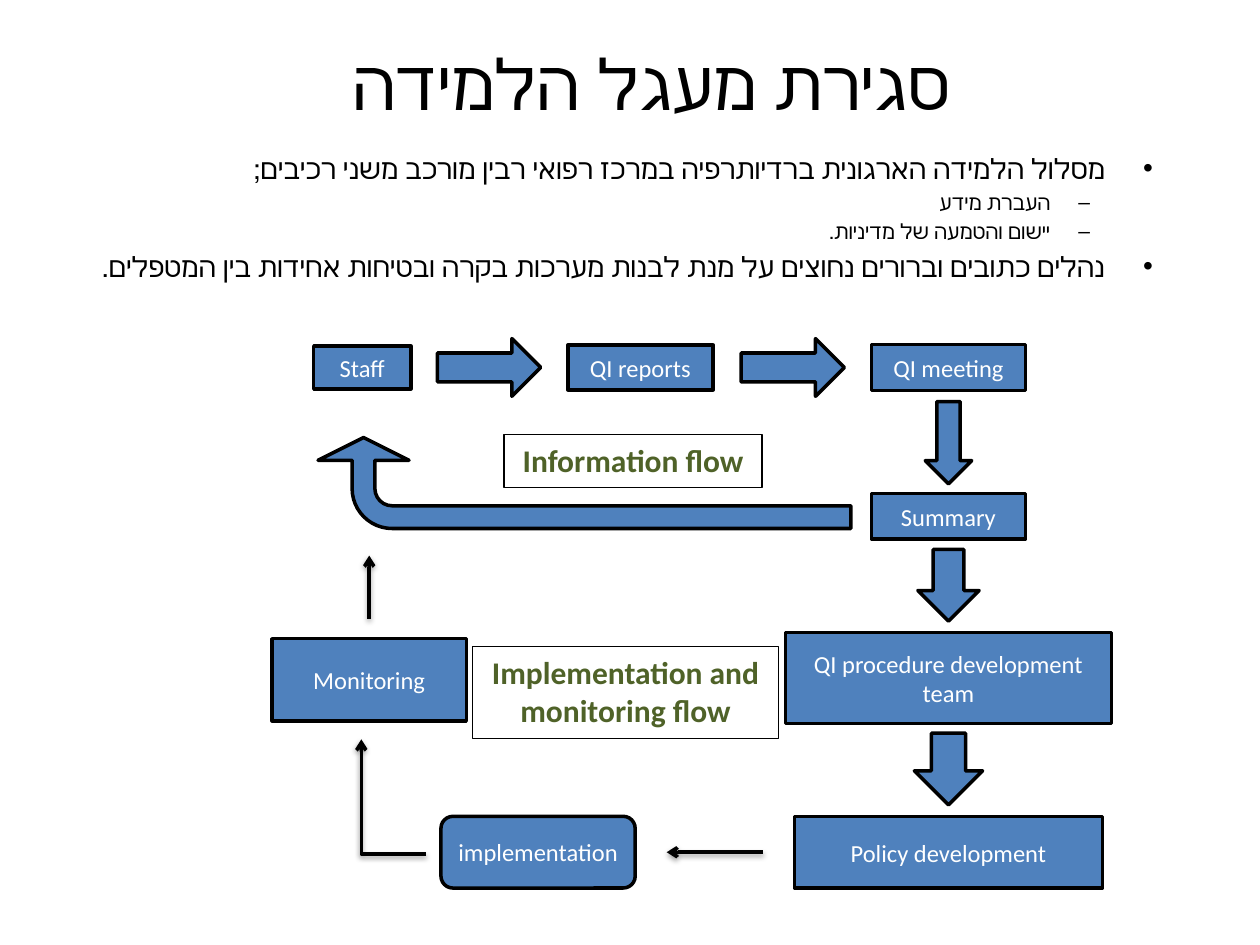
"""Build the slide on closing the learning loop with its two-part flow diagram."""
from dataclasses import dataclass

from lxml.etree import SubElement
from pptx import Presentation
from pptx.dml.color import RGBColor
from pptx.enum.shapes import MSO_CONNECTOR, MSO_SHAPE
from pptx.enum.text import MSO_ANCHOR, MSO_AUTO_SIZE, PP_ALIGN
from pptx.oxml.ns import qn
from pptx.util import Pt

COLORS = {"black": "000000", "white": "FFFFFF", "blue": "4F81BD", "green": "4F6228"}
FONT = "Calibri"
TOP_ROW, BOTTOM_ROW = 210, 487
LEFT_COLUMN, RIGHT_COLUMN = 211, 542
PROCESS, RIGHT, DOWN = MSO_SHAPE.FLOWCHART_PROCESS, MSO_SHAPE.RIGHT_ARROW, MSO_SHAPE.DOWN_ARROW


@dataclass(frozen=True)
class Node:
    """A filled shape placed by its centre."""
    kind: MSO_SHAPE
    x: float
    y: float
    width: float
    height: float
    text: str = ""
    rotation: float = 0
    adjustments: tuple[float, ...] = ()


@dataclass(frozen=True)
class Arrow:
    """A thin line with an open head, straight or with one corner."""
    start: tuple[float, float]
    end: tuple[float, float]
    bent: bool = False


@dataclass(frozen=True)
class Caption:
    """A framed heading of one part of the flow."""
    left: float
    top: float
    width: float
    height: float
    text: str


@dataclass(frozen=True)
class Bullet:
    """A right-to-left list entry."""
    text: str
    level: int
    size: float


TITLE = "סגירת מעגל הלמידה"
BULLETS = [
    Bullet("מסלול הלמידה הארגונית ברדיותרפיה במרכז רפואי רבין מורכב משני רכיבים;", 0, 16),
    Bullet("העברת מידע", 1, 12),
    Bullet("יישום והטמעה של מדיניות.", 1, 12),
    Bullet("נהלים כתובים וברורים נחוצים על מנת לבנות מערכות בקרה ובטיחות אחידות בין המטפלים.", 0, 16),
]
NODES = [
    Node(PROCESS, 207, TOP_ROW, 55.5, 24.5, "Staff"),
    Node(RIGHT, 279.5, TOP_ROW, 59, 33),
    Node(PROCESS, 366, TOP_ROW, 83, 25.5, "QI reports"),
    Node(RIGHT, 453, TOP_ROW, 59, 33),
    Node(PROCESS, RIGHT_COLUMN, TOP_ROW, 88, 26.5, "QI meeting"),
    Node(DOWN, RIGHT_COLUMN, 253, 26.5, 47),
    Node(PROCESS, RIGHT_COLUMN, 295, 88, 26, "Summary"),
    Node(MSO_SHAPE.BENT_ARROW, 334, 276, 52, 304.5, "", 270, (0.25, 0.5, 0.25, 0.44)),
    Node(DOWN, RIGHT_COLUMN, 334.5, 35, 41),
    Node(PROCESS, RIGHT_COLUMN, 387.5, 186.5, 52, "QI procedure development team"),
    Node(DOWN, RIGHT_COLUMN, 439.5, 39, 41),
    Node(PROCESS, RIGHT_COLUMN, BOTTOM_ROW, 176, 41, "Policy development"),
    Node(MSO_SHAPE.ROUNDED_RECTANGLE, 307.5, BOTTOM_ROW, 111, 41, "implementation"),
    Node(MSO_SHAPE.RECTANGLE, LEFT_COLUMN, 388.5, 111, 47, "Monitoring"),
]
ARROWS = [
    Arrow((436, BOTTOM_ROW), (381, BOTTOM_ROW)),
    Arrow((243.5, BOTTOM_ROW + 1), (206.5, 422.5), bent=True),
    Arrow((LEFT_COLUMN, 353.5), (LEFT_COLUMN, 317.5)),
]
CAPTIONS = [
    Caption(288, 248.5, 147.5, 30, "Information flow"),
    Caption(270, 369.5, 175, 52.5, "Implementation and monitoring flow"),
]


def color(name: str) -> RGBColor:
    """Return a named colour."""
    return RGBColor.from_string(COLORS[name])


def place(box, left: float, top: float, width: float, height: float) -> None:
    """Move and size a box."""
    box.left, box.top, box.width, box.height = map(Pt, (left, top, width, height))


def outline(shape, width: float) -> None:
    """Give a shape a black line."""
    shape.line.color.rgb = color("black")
    shape.line.width = Pt(width)


def style(paragraph, size: float, name: str, align: PP_ALIGN, bold: bool = False) -> None:
    """Set the alignment and font of a paragraph."""
    paragraph.alignment = align
    font = paragraph.font
    font.name, font.size, font.bold = FONT, Pt(size), bold
    font.color.rgb = color(name)


def fill_title(title) -> None:
    """Write the heading."""
    place(title, 48, 2, 648, 90)
    title.text_frame.text = TITLE
    title.text_frame.vertical_anchor = MSO_ANCHOR.MIDDLE
    style(title.text_frame.paragraphs[0], 40, "black", PP_ALIGN.CENTER)


def fill_body(body) -> None:
    """Write the right-to-left list."""
    place(body, 36, 83, 630, 101)
    frame = body.text_frame
    frame.auto_size = MSO_AUTO_SIZE.NONE
    for index, bullet in enumerate(BULLETS):
        paragraph = frame.add_paragraph() if index else frame.paragraphs[0]
        paragraph.text, paragraph.level = bullet.text, bullet.level
        paragraph._p.get_or_add_pPr().set("rtl", "1")
        style(paragraph, bullet.size, "black", PP_ALIGN.RIGHT)
    frame.paragraphs[0].space_before = Pt(0)


def draw_node(page, node: Node) -> None:
    """Draw a step or a block arrow."""
    shape = page.shapes.add_shape(node.kind, 0, 0, 0, 0)
    place(shape, node.x - node.width / 2, node.y - node.height / 2, node.width, node.height)
    shape.rotation = node.rotation
    for index, value in enumerate(node.adjustments):
        shape.adjustments[index] = value
    shape.shadow.inherit = False
    shape.fill.solid()
    shape.fill.fore_color.rgb = color("blue")
    outline(shape, 2)
    if node.text:
        frame = shape.text_frame
        frame.text, frame.word_wrap = node.text, True
        frame.vertical_anchor = MSO_ANCHOR.MIDDLE
        style(frame.paragraphs[0], 14, "white", PP_ALIGN.CENTER)


def draw_arrow(page, arrow: Arrow) -> None:
    """Draw a thin arrow with a soft shadow below it."""
    kind = MSO_CONNECTOR.ELBOW if arrow.bent else MSO_CONNECTOR.STRAIGHT
    line = page.shapes.add_connector(kind, *map(Pt, arrow.start + arrow.end))
    outline(line, 2)
    properties = line._element.spPr
    if arrow.bent:
        properties.find(qn("a:prstGeom")).set("prst", "bentConnector2")
    SubElement(properties.find(qn("a:ln")), qn("a:tailEnd"), type="arrow")
    effects = SubElement(properties, qn("a:effectLst"))
    shadow = SubElement(effects, qn("a:outerShdw"), blurRad=str(Pt(3.1)), dist=str(Pt(1.6)),
                        dir="5400000", rotWithShape="0")
    tint = SubElement(shadow, qn("a:srgbClr"), val=COLORS["black"])
    SubElement(tint, qn("a:alpha"), val="38000")


def draw_caption(page, caption: Caption) -> None:
    """Draw a framed green heading."""
    box = page.shapes.add_textbox(*map(Pt, (caption.left, caption.top, caption.width, caption.height)))
    outline(box, 0.75)
    frame = box.text_frame
    frame.text, frame.word_wrap = caption.text, True
    frame.auto_size = MSO_AUTO_SIZE.SHAPE_TO_FIT_TEXT
    style(frame.paragraphs[0], 18, "green", PP_ALIGN.CENTER, bold=True)


def main() -> None:
    """Build and save the deck."""
    deck = Presentation()
    deck.slide_width, deck.slide_height = Pt(720), Pt(540)
    page = deck.slides.add_slide(deck.slide_layouts[1])
    fill_title(page.shapes.title)
    fill_body(page.placeholders[1])
    for node in NODES:
        draw_node(page, node)
    for arrow in ARROWS:
        draw_arrow(page, arrow)
    for caption in CAPTIONS:
        draw_caption(page, caption)
    deck.save("out.pptx")


if __name__ == "__main__":
    main()
